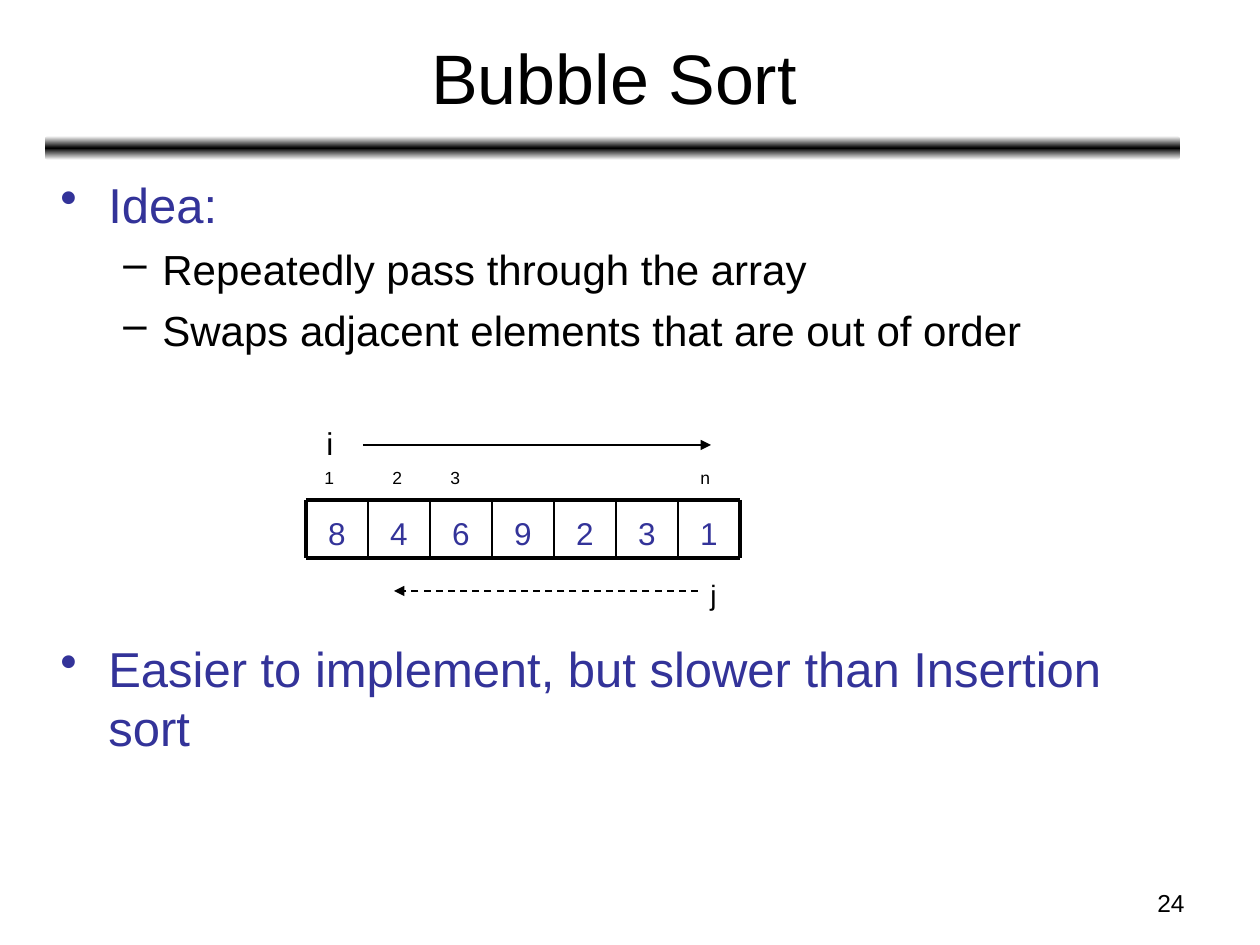
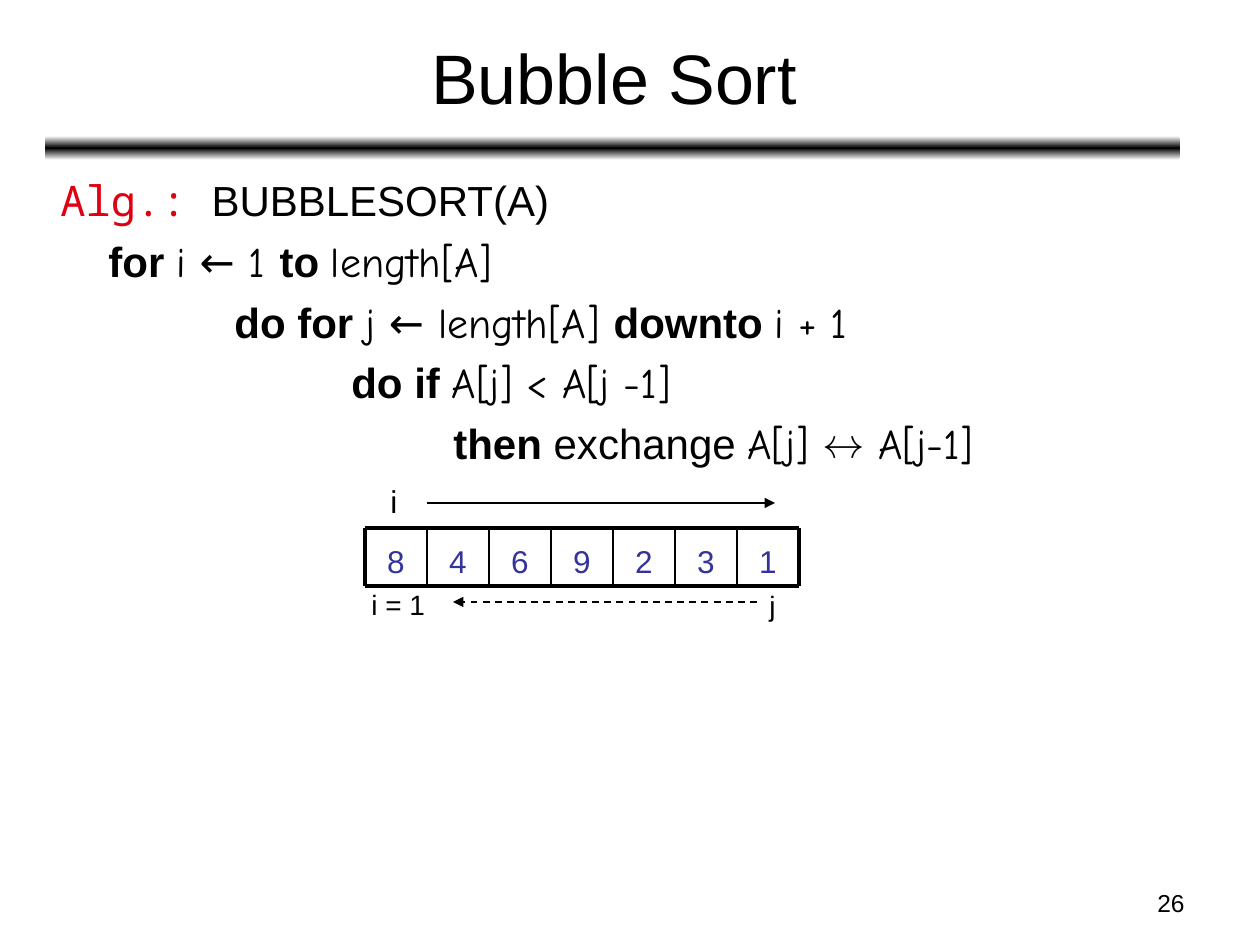
from copy import deepcopy

from lxml import etree
from pptx import Presentation
from pptx.dml.color import RGBColor
from pptx.enum.dml import MSO_LINE
from pptx.enum.shapes import MSO_CONNECTOR, MSO_SHAPE
from pptx.enum.text import MSO_ANCHOR, PP_ALIGN
from pptx.oxml.ns import qn
from pptx.util import Pt

PX = 914400 / 126
BLACK = RGBColor(0x00, 0x00, 0x00)
WHITE = RGBColor(0xFF, 0xFF, 0xFF)
INDIGO = RGBColor(0x33, 0x33, 0x99)
RED = RGBColor(0xDD, 0x01, 0x11)

LEFT, CENTER, RIGHT = PP_ALIGN.LEFT, PP_ALIGN.CENTER, PP_ALIGN.RIGHT
TOP, MIDDLE, BOTTOM = MSO_ANCHOR.TOP, MSO_ANCHOR.MIDDLE, MSO_ANCHOR.BOTTOM
STRAIGHT, ROUNDED, DASH = MSO_CONNECTOR.STRAIGHT, MSO_SHAPE.ROUNDED_RECTANGLE, MSO_LINE.DASH

PLAIN = {}
KEYWORD = {"bold": True}
CODE = {"font": "Comic Neue"}
ALG = {"font": "Noto Sans Mono", "color": RED}

BODY_BOX = (48, 168, 1134, 699)
CELL_W, CELL_H = 62, 58


def add_text(slide, box, content, size=18, color=BLACK, align=LEFT, anchor=TOP, wrap=True):
    """Add a text box; content is a string or a list of (runs, paragraph format) pairs."""
    frame = slide.shapes.add_textbox(*[round(v * PX) for v in box]).text_frame
    frame.word_wrap = wrap
    frame.vertical_anchor = anchor
    if isinstance(content, str):
        content = [([(content, PLAIN)], {})]
    for index, (runs, style) in enumerate(content):
        paragraph = frame.add_paragraph() if index else frame.paragraphs[0]
        paragraph.alignment = align
        if "before" in style:
            paragraph.space_before = Pt(style["before"])
        properties = paragraph._p.get_or_add_pPr()
        properties.set("marL", str(round(style.get("margin", 0) * PX)))
        properties.set("indent", str(round(style.get("indent", 0) * PX)))
        if "bullet" in style:
            etree.SubElement(properties, qn("a:buChar")).set("char", style["bullet"])
        for text, look in runs:
            run = paragraph.add_run()
            run.text = text
            run.font.name = look.get("font", "Arial")
            run.font.size = Pt(look.get("size", size))
            run.font.bold = look.get("bold", False)
            run.font.color.rgb = look.get("color", color)


def add_line(slide, x1, y1, x2, y2, width=1, dashed=False, arrow=False):
    line = slide.shapes.add_connector(STRAIGHT, *[round(v * PX) for v in (x1, y1, x2, y2)])
    line.line.color.rgb = BLACK
    line.line.width = Pt(width)
    if dashed:
        line.line.dash_style = DASH
    if arrow:
        etree.SubElement(line.line._get_or_add_ln(), qn("a:tailEnd")).set("type", "triangle")
    etree.SubElement(line._element.spPr, qn("a:effectLst"))


prs = Presentation()
prs.slide_width, prs.slide_height = round(1260 * PX), round(945 * PX)

point = {"margin": 48, "indent": -48, "bullet": "•", "before": 7}
subpoint = {"margin": 102, "indent": -39, "bullet": "–", "before": 6}
point_below_array = {**point, "before": 162}
heading = {"size": 28, "color": INDIGO}
idea = [
    ([("Idea:", heading)], point),
    ([("Repeatedly pass through the array", PLAIN)], subpoint),
    ([("Swaps adjacent elements that are out of order", PLAIN)], subpoint),
    ([("Easier to implement, but slower than Insertion sort", heading)], point_below_array),
]

code_lines = [
    (0, [("Alg.: ", ALG), ("BUBBLESORT(A)", PLAIN)]),
    (48, [("for ", KEYWORD), ("i ← 1 ", CODE), ("to ", KEYWORD), ("length[A]", CODE)]),
    (174, [("do for ", KEYWORD), ("j ← length[A] ", CODE), ("downto ", KEYWORD), ("i + 1", CODE)]),
    (291, [("do if ", KEYWORD), ("A[j] < A[j -1]", CODE)]),
    (393, [("then", KEYWORD), (" exchange ", PLAIN), ("A[j] ↔ A[j-1]", CODE)]),
]
algorithm = [(runs, {"margin": margin, "before": 6}) for margin, runs in code_lines]

# page number, body, array left and top, start of i arrow, height of i and j arrows
pages = [
    ("24", idea, 306, 500, 363, 445, 591),
    ("26", algorithm, 365, 528, 427, 503, 602),
]
slides = []

for number, body, left, top, i_x, i_y, j_y in pages:
    slide = prs.slides.add_slide(prs.slide_layouts[6])
    slides.append(slide)

    # Title, gradient bar and page number
    bar = slide.shapes.add_shape(ROUNDED, *[round(v * PX) for v in (45, 136, 1135, 24)])
    bar.shadow.inherit = False
    bar.line.fill.background()
    bar.fill.gradient()
    bar.fill.gradient_angle = 90
    stop_list = bar._element.spPr.find(".//" + qn("a:gsLst"))
    stop_list.append(deepcopy(stop_list[0]))
    for stop, position, color in zip(bar.fill.gradient_stops, (0, 0.5, 1), (WHITE, BLACK, WHITE)):
        stop.position = position
        stop.color.rgb = color
    add_text(slide, (903, 882, 294, 44), number, size=14, align=RIGHT)
    add_text(slide, (47, 14, 1134, 125), "Bubble Sort", size=40, align=CENTER, anchor=MIDDLE)
    add_text(slide, BODY_BOX, body, size=24)

    # Array cells and their frame
    values = "8469231"
    right, bottom = left + len(values) * CELL_W, top + CELL_H
    for column, value in enumerate(values):
        add_text(slide, (left + column * CELL_W, top, CELL_W, CELL_H), value,
                 color=INDIGO, align=CENTER, anchor=BOTTOM)
    for y in (top, bottom):
        add_line(slide, left, y, right, y, width=2.25)
    for column in range(len(values) + 1):
        x = left + column * CELL_W
        add_line(slide, x, top, x, bottom, width=2.25 if x in (left, right) else 1)

    # Directions of the two loop counters
    add_text(slide, (i_x - 49, i_y - 27, 33, 50), "i", wrap=False)
    add_line(slide, i_x, i_y, i_x + 348, i_y, width=0.75, arrow=True)
    j_x = left + 392
    add_text(slide, (j_x, j_y - 20, 32, 47), "j", size=16, wrap=False)
    add_line(slide, j_x, j_y, j_x - 304, j_y, dashed=True, arrow=True)

idea_slide, algorithm_slide = slides
for x, position in ((312, "1"), (380, "2"), (438, "3"), (688, "n")):
    add_text(idea_slide, (x, 461, 32, 34), position, size=10)
add_text(algorithm_slide, (359, 581, 79, 47), "i = 1", size=16, wrap=False)

prs.save("out.pptx")
